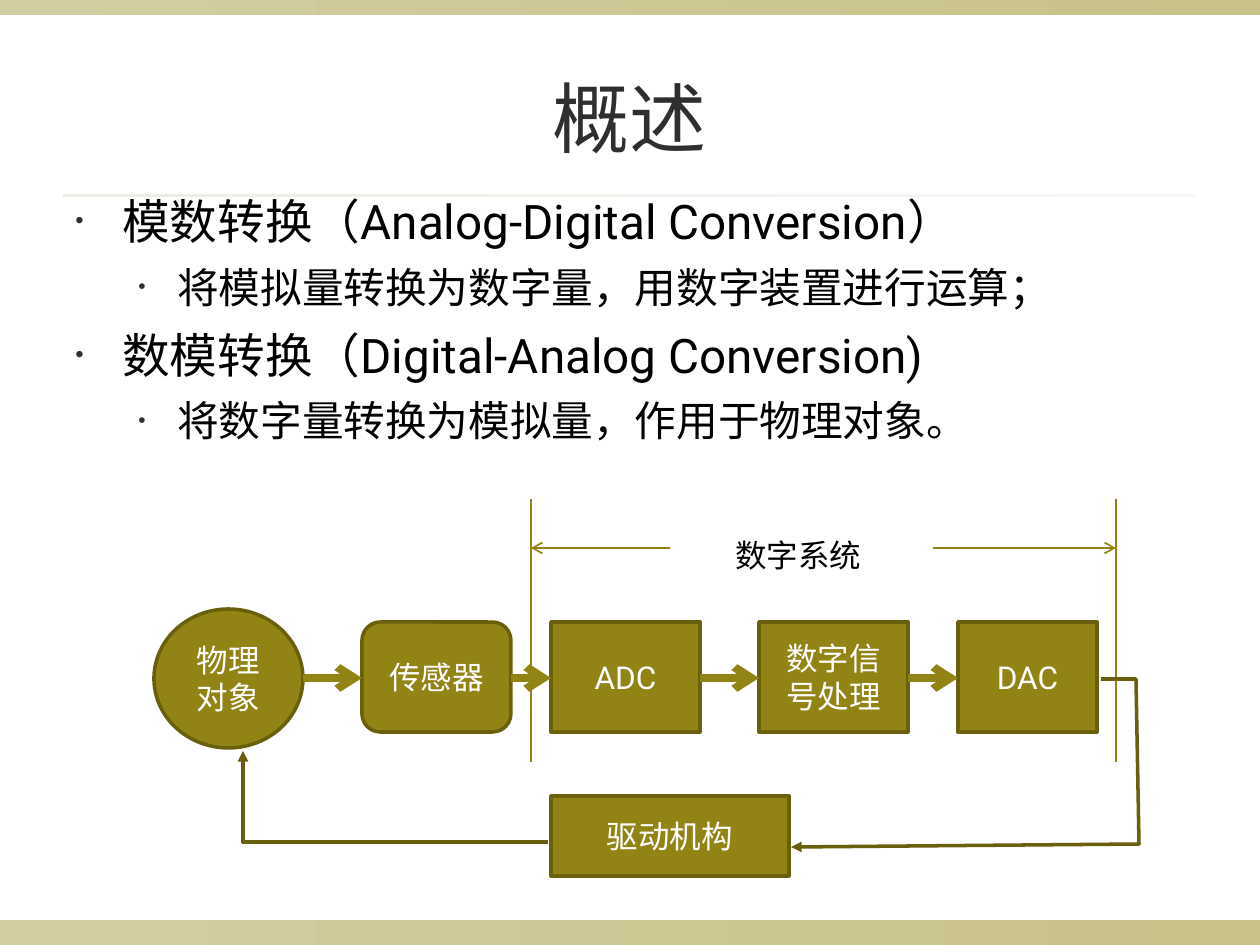
from itertools import pairwise

from lxml import etree
from pptx import Presentation
from pptx import util as u
from pptx.dml.color import RGBColor
from pptx.enum import shapes, text
from pptx.oxml.ns import qn

PX = 914400 / 126
OLIVE, DARK_OLIVE, INK = "918415", "695F0C", "2F2F2F"


def px(*lengths):
    return [round(length * PX) for length in lengths]


def color(hex_string):
    return RGBColor.from_string(hex_string)


deck = Presentation()
deck.slide_width, deck.slide_height = px(1260, 945)
page = deck.slides.add_slide(deck.slide_layouts[6])

# Bands at the edges and the rule under the title
bands = [
    (0, 920, 1260, 25, "D3CEA1", "C8C18A"),
    (0, 0, 1260, 15, "D3CEA1", "C8C18A"),
    (63, 194, 1134, 3, "EEECE6", "F8F7F5"),
]
for left, top, width, height, start, end in bands:
    band = page.shapes.add_shape(shapes.MSO_SHAPE.RECTANGLE, *px(left, top, width, height))
    band.shadow.inherit = False
    band.fill.gradient()
    band.fill.gradient_angle = 0
    for stop, shade in zip(band.fill.gradient_stops, (start, end)):
        stop.color.rgb = color(shade)
    band.line.fill.background()

# Bulleted text: level, size, space before, left margin, hanging indent
styles = [(27.2, 8, 47, 47), (23.8, 7, 102, 39)]
points = [
    (0, "模数转换（Analog-Digital Conversion）"),
    (1, "将模拟量转换为数字量，用数字装置进行运算；"),
    (0, "数模转换（Digital-Analog Conversion)"),
    (1, "将数字量转换为模拟量，作用于物理对象。"),
]
body = page.shapes.add_textbox(*px(63, 186, 1197, 268)).text_frame
body.word_wrap = True
for number, (level, words) in enumerate(points):
    size, before, margin, hanging = styles[level]
    para = body.add_paragraph() if number else body.paragraphs[0]
    para.text = words
    para.level = level
    props = para._p.get_or_add_pPr()
    props.set("marL", str(px(margin)[0]))
    props.set("indent", str(px(-hanging)[0]))
    bullet_color = etree.SubElement(props, qn("a:buClr"))
    etree.SubElement(bullet_color, qn("a:srgbClr"), val=INK)
    etree.SubElement(props, qn("a:buSzPct"), val="50000")
    etree.SubElement(props, qn("a:buFont"), typeface="Arial")
    etree.SubElement(props, qn("a:buChar"), char="•")
    if number:
        para.space_before = u.Pt(before)
    para.font.size = u.Pt(size)
    para.font.name = "Roboto"
    para.font.color.rgb = color("000000")

title = page.shapes.add_textbox(*px(63, 38, 1134, 158)).text_frame
title.word_wrap = True
title.vertical_anchor = text.MSO_ANCHOR.MIDDLE
para = title.paragraphs[0]
para.text = "概述"
para.alignment = text.PP_ALIGN.CENTER
para.font.size = u.Pt(44)
para.font.name = "Roboto"
para.font.color.rgb = color(INK)

# Blocks of the signal chain, then the actuator below it
kinds = shapes.MSO_SHAPE
blocks = [
    (kinds.OVAL, 154, 609, 149, 139, "物理对象"),
    (kinds.ROUNDED_RECTANGLE, 362, 622, 149, 110, "传感器"),
    (kinds.RECTANGLE, 551, 622, 149, 110, "ADC"),
    (kinds.RECTANGLE, 759, 622, 149, 110, "数字信号处理"),
    (kinds.RECTANGLE, 958, 622, 139, 110, "DAC"),
    (kinds.RECTANGLE, 551, 796, 238, 80, "驱动机构"),
]
for kind, left, top, width, height, words in blocks:
    block = page.shapes.add_shape(kind, *px(left, top, width, height))
    block.shadow.inherit = False
    block.fill.solid()
    block.fill.fore_color.rgb = color(OLIVE)
    block.line.color.rgb = color(DARK_OLIVE)
    block.line.width = u.Pt(2)
    frame = block.text_frame
    frame.word_wrap = True
    frame.vertical_anchor = text.MSO_ANCHOR.MIDDLE
    para = frame.paragraphs[0]
    para.text = words
    para.alignment = text.PP_ALIGN.CENTER
    para.font.size = u.Pt(18)
    para.font.name = "Roboto"
    para.font.color.rgb = color("FFFFFF")

# Straight lines: arrows along the chain, limits and extent of the digital system
chain = blocks[:5]
lines = [(a[1] + a[3], 678, b[1], 678, 4.5, True) for a, b in pairwise(chain)]
lines += [(x, 499, x, 762, 1, False) for x in (531, 1116)]
lines += [(670, 548, 531, 548, 1, True), (933, 548, 1116, 548, 1, True)]
for x1, y1, x2, y2, weight, has_arrow in lines:
    line = page.shapes.add_connector(shapes.MSO_CONNECTOR.STRAIGHT, *px(x1, y1, x2, y2))
    line.line.color.rgb = color(OLIVE)
    line.line.width = u.Pt(weight)
    if has_arrow:
        etree.SubElement(line.line._get_or_add_ln(), qn("a:tailEnd"), type="arrow")
    etree.SubElement(line._element.spPr, qn("a:effectLst"))

# Feedback path through the actuator
feedback = [
    [(1101, 679), (1136, 679), (1139, 844), (791, 847)],
    [(548, 842), (243, 842), (243, 751)],
]
for start, *corners in feedback:
    builder = page.shapes.build_freeform(*start, scale=PX)
    builder.add_line_segments(corners, close=False)
    route = builder.convert_to_shape()
    route.shadow.inherit = False
    route.fill.background()
    route.line.color.rgb = color(DARK_OLIVE)
    route.line.width = u.Pt(2)
    etree.SubElement(route.line._get_or_add_ln(), qn("a:tailEnd"), type="triangle")

label = page.shapes.add_textbox(*px(723, 530, 151, 50)).text_frame
label.word_wrap = False
para = label.paragraphs[0]
para.text = "数字系统"
para.font.size = u.Pt(18)
para.font.name = "Arial"
para.font.color.rgb = color("000000")

deck.save("out.pptx")
